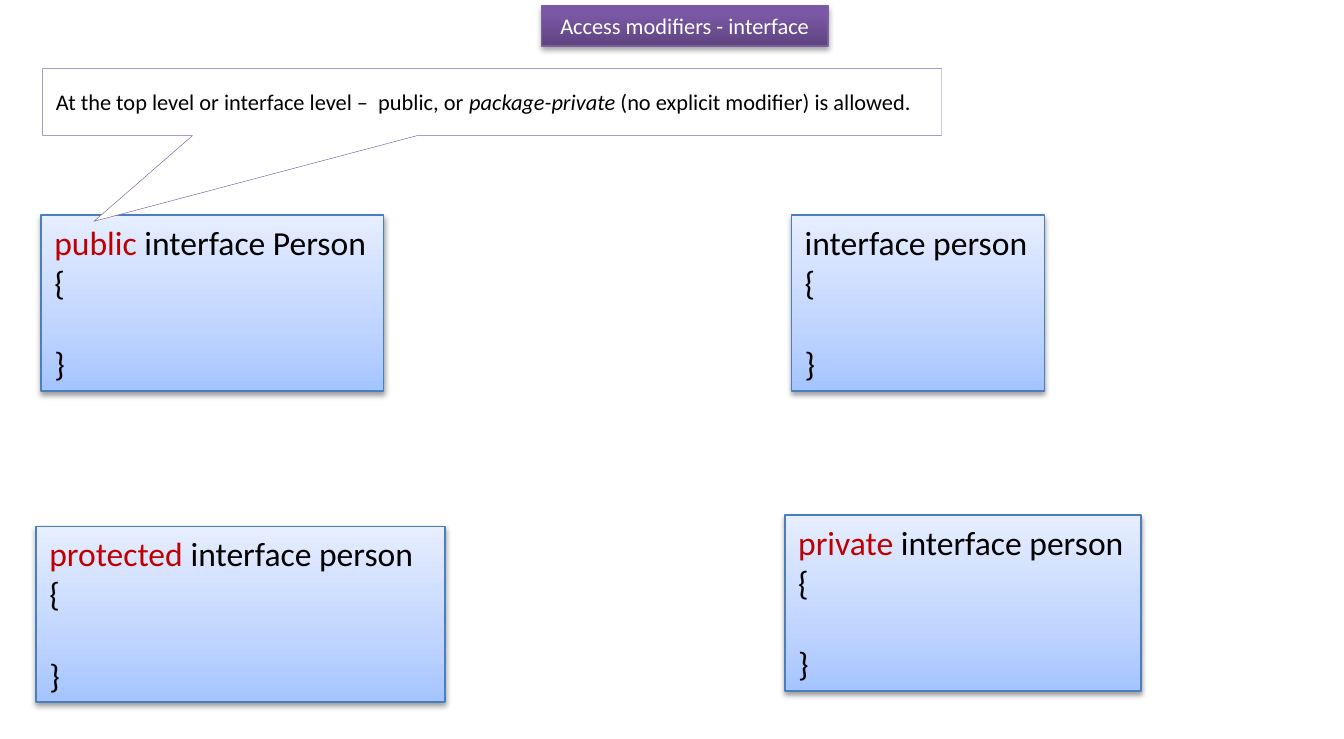
from dataclasses import dataclass

import pptx
import pptx.dml.color
import pptx.enum.shapes
import pptx.enum.text
import pptx.oxml
import pptx.oxml.ns
import pptx.util

Pt = pptx.util.Pt
RGB = pptx.dml.color.RGBColor.from_string
SHAPE = pptx.enum.shapes.MSO_SHAPE
ALIGN = pptx.enum.text.PP_ALIGN
ANCHOR = pptx.enum.text.MSO_ANCHOR
AUTO_SIZE = pptx.enum.text.MSO_AUTO_SIZE
qn = pptx.oxml.ns.qn
NS = pptx.oxml.ns.nsdecls("a")


@dataclass(frozen=True)
class Theme:
    font: str = "Calibri"
    small: int = 12
    large: int = 18
    line_height: int = 22
    black: str = "000000"
    white: str = "FFFFFF"
    keyword: str = "C00000"
    title_line: str = "7D60A0"
    callout_line: str = "8064A2"
    code_line: str = "4B7EBC"
    title_stops: tuple = ((0, "5F4480"), (80, "7B58A6"), (100, "7C57A8"))
    code_stops: tuple = ((0, "A4C4FF"), (35, "BFD4FF"), (100, "E6EEFF"))


def add_run(p, text, *, font, size, color, italic=None):
    r = p.add_run()
    r.text = text
    r.font.name, r.font.size, r.font.italic = font, Pt(size), italic
    r.font.color.rgb = RGB(color)


class SlideBuilder:
    def __init__(self, s, theme):
        self.s, self.theme = s, theme

    def box(self, kind, at, line, width):
        sp = self.s.shapes.add_shape(kind, *map(Pt, at))
        sp.shadow.inherit = False
        sp.line.color.rgb = RGB(line)
        sp.line.width = Pt(width)
        sp.text_frame.word_wrap = True
        return sp

    def gradient(self, sp, stops):
        sp.fill.gradient()
        sp.fill.gradient_angle = 90
        gs_list = sp._element.spPr.find(qn("a:gradFill")).find(qn("a:gsLst"))
        gs_list.clear()
        for pos, color in stops:
            gs_list.append(pptx.oxml.parse_xml(
                f'<a:gs {NS} pos="{pos * 1000}"><a:srgbClr val="{color}"/></a:gs>'))

    def shadow(self, sp, distance, opacity):
        sp._element.spPr.find(qn("a:effectLst")).append(pptx.oxml.parse_xml(
            f'<a:outerShdw {NS} blurRad="{Pt(3.1)}" dist="{Pt(distance)}" dir="5400000" '
            f'rotWithShape="0"><a:srgbClr val="{self.theme.black}">'
            f'<a:alpha val="{opacity * 1000}"/></a:srgbClr></a:outerShdw>'))

    def title(self, at, text):
        t = self.theme
        sp = self.box(SHAPE.RECTANGLE, at, t.title_line, 0.75)
        self.gradient(sp, t.title_stops)
        self.shadow(sp, 1.8, 35)
        tf = sp.text_frame
        tf.auto_size = AUTO_SIZE.SHAPE_TO_FIT_TEXT
        tf.vertical_anchor = ANCHOR.TOP
        p = tf.paragraphs[0]
        p.alignment = ALIGN.CENTER
        add_run(p, text, font=t.font, size=t.small, color=t.white)

    def callout(self, at, tip, parts):
        t = self.theme
        sp = self.box(SHAPE.RECTANGULAR_CALLOUT, at, t.callout_line, 0.25)
        sp.adjustments[0], sp.adjustments[1] = tip
        sp.fill.solid()
        sp.fill.fore_color.rgb = RGB(t.white)
        tf = sp.text_frame
        tf.vertical_anchor = ANCHOR.MIDDLE
        p = tf.paragraphs[0]
        p.alignment = ALIGN.LEFT
        for text, italic in parts:
            add_run(p, text, font=t.font, size=t.small, color=t.black, italic=italic)

    def code(self, at, modifier, declaration):
        t = self.theme
        sp = self.box(SHAPE.RECTANGLE, at, t.code_line, 0.75)
        self.gradient(sp, t.code_stops)
        self.shadow(sp, 1.6, 38)
        tf = sp.text_frame
        tf.word_wrap = False
        tf.auto_size = AUTO_SIZE.SHAPE_TO_FIT_TEXT
        tf.vertical_anchor = ANCHOR.TOP
        for i, text in enumerate((declaration, "{", "}")):
            p = tf.add_paragraph() if i else tf.paragraphs[0]
            p.alignment = ALIGN.LEFT
            if i == 0 and modifier:
                add_run(p, modifier + " ", font=t.font, size=t.large, color=t.keyword)
            add_run(p, text, font=t.font, size=t.large, color=t.black)
        # Empty body between the braces
        p.space_before = Pt(t.line_height)


def main():
    prs = pptx.Presentation()
    prs.slide_width, prs.slide_height = Pt(720), Pt(396)
    s = prs.slides.add_slide(prs.slide_layouts[6])
    b = SlideBuilder(s, Theme())

    # Heading
    b.title((290.2, 2.9, 153.4, 21.8), "Access modifiers - interface")

    # Public interface, with the callout pointing at its modifier
    code_height = 94.3
    b.code((22, 115.2, 183.6, code_height), "public", "interface Person")
    b.callout((22.9, 36.7, 481.5, 36), (-0.443, 1.776), (
        ("At the top level or interface level –  public, or ", False),
        ("package-private", True),
        (" (no explicit modifier) is allowed.", False),
    ))

    # Remaining declarations
    for left, top, width, modifier in (
        (424, 115.2, 135.4, ""),
        (19.4, 282, 219, "protected"),
        (420.5, 276, 190.8, "private"),
    ):
        b.code((left, top, width, code_height), modifier, "interface person")

    prs.save("out.pptx")


if __name__ == "__main__":
    main()
